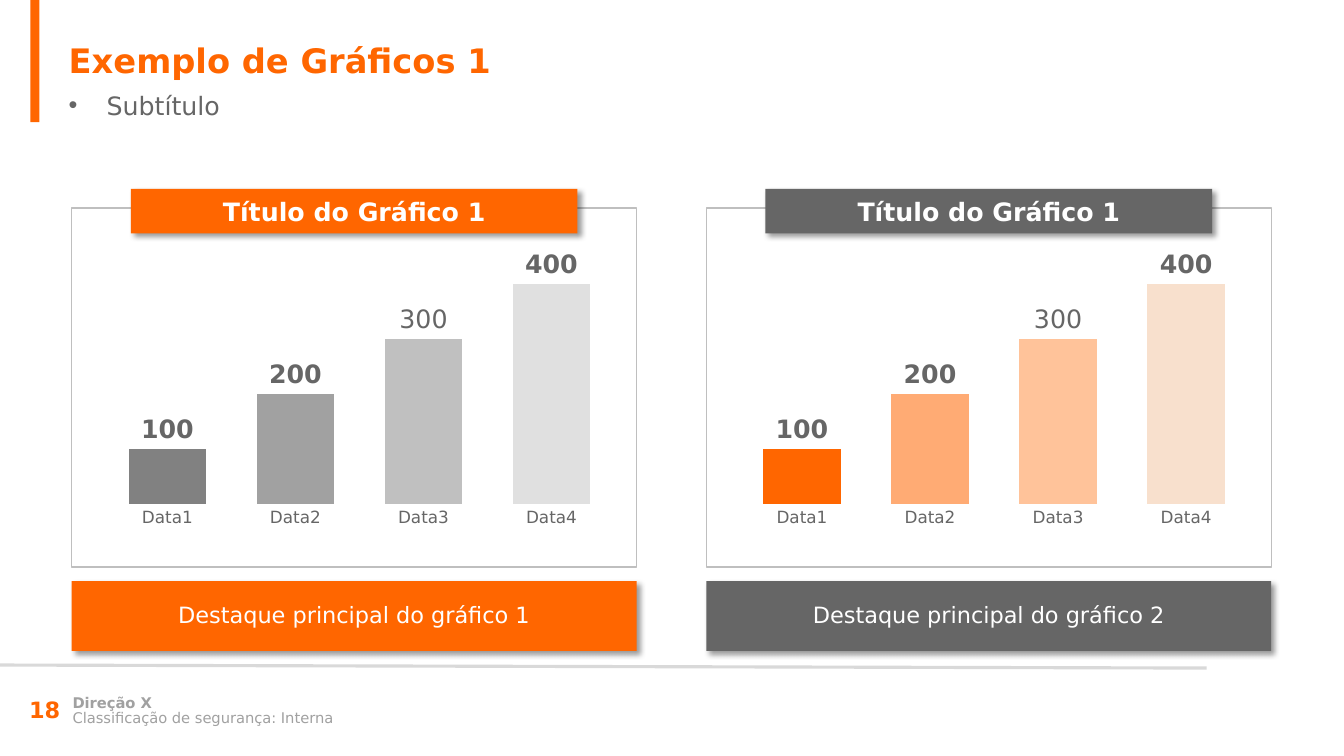
from dataclasses import dataclass

from lxml import etree
from pptx import Presentation
from pptx.chart.data import CategoryChartData
from pptx.dml.color import RGBColor
from pptx.enum.chart import XL_CHART_TYPE as ChartType
from pptx.enum.chart import XL_LABEL_POSITION as LabelPos
from pptx.enum.chart import XL_TICK_MARK as Tick
from pptx.enum.shapes import MSO_CONNECTOR as Connector
from pptx.enum.shapes import MSO_SHAPE as Shape
from pptx.enum.text import MSO_ANCHOR as Anchor
from pptx.enum.text import MSO_AUTO_SIZE as AutoSize
from pptx.enum.text import PP_ALIGN as Align
from pptx.oxml import parse_xml
from pptx.oxml.ns import nsdecls, qn
from pptx.util import Inches, Pt

FONT = "DejaVu Sans"
ORANGE, GRAY, WHITE = "FF6600", "666666", "FFFFFF"
PALE, FRAME, RULE = "A1A1A1", "BFBFBF", "D9D9D9"

# Two equal columns; the parts of each are centred on its frame
FIRST_COLUMN, COLUMN_PITCH, COLUMN_WIDTH = 0.71, 6.28, 5.59
HEADER_WIDTH, CHART_WIDTH = 4.42, 5.28
CATEGORIES = ("Data1", "Data2", "Data3", "Data4")
VALUES = (100, 200, 300, 400)
PLAIN_LABEL = 2


@dataclass(frozen=True)
class Box:
    left: float
    top: float
    width: float
    height: float

    def lengths(self) -> list:
        return [Inches(n) for n in (self.left, self.top, self.width, self.height)]


@dataclass(frozen=True)
class Style:
    size: float
    color: str
    bold: bool = False
    align: Align = Align.LEFT
    anchor: Anchor = Anchor.MIDDLE
    spacing: float = 1.0


@dataclass(frozen=True)
class Panel:
    header: str
    highlight: str
    color: str
    bars: tuple[str, ...]


PANELS = (
    Panel("Título do Gráfico 1", "Destaque principal do gráfico 1", ORANGE,
          ("818181", "A1A1A1", "C0C0C0", "E0E0E0")),
    Panel("Título do Gráfico 1", "Destaque principal do gráfico 2", GRAY,
          ("FF6600", "FFAB74", "FFC39A", "F8E0CD")),
)
HEADER = Style(18, WHITE, bold=True, align=Align.CENTER)
HIGHLIGHT = Style(16, WHITE, align=Align.CENTER, spacing=0.9)


def rgb(code: str) -> RGBColor:
    return RGBColor.from_string(code)


def set_font(font, size: float, color: str, bold: bool = False) -> None:
    font.name, font.size, font.bold = FONT, Pt(size), bold
    font.color.rgb = rgb(color)


def write(holder, text: str, style: Style) -> None:
    frame = holder.text_frame
    frame.text = text
    frame.word_wrap = True
    frame.auto_size = AutoSize.NONE
    frame.vertical_anchor = style.anchor
    line = frame.paragraphs[0]
    line.alignment = style.align
    line.line_spacing = style.spacing
    line.space_before = Pt(0)
    set_font(line.runs[0].font, style.size, style.color, style.bold)


def fill_placeholder(holder, box: Box, text: str, style: Style) -> None:
    holder.left, holder.top, holder.width, holder.height = box.lengths()
    write(holder, text, style)


def add_text(slide, box: Box, text: str, style: Style) -> None:
    write(slide.shapes.add_textbox(*box.lengths()), text, style)


def add_block(slide, box: Box, fill: str | None = None, line: str | None = None):
    block = slide.shapes.add_shape(Shape.RECTANGLE, *box.lengths())
    block.shadow.inherit = False
    if fill:
        block.fill.solid()
        block.fill.fore_color.rgb = rgb(fill)
    else:
        block.fill.background()
    if line:
        block.line.color.rgb = rgb(line)
        block.line.width = Pt(1)
    else:
        block.line.fill.background()
    return block


def add_banner(slide, box: Box, text: str, fill: str, style: Style) -> None:
    banner = add_block(slide, box, fill)
    effects = banner._element.spPr.find(qn("a:effectLst"))
    effects.append(parse_xml(
        f'<a:outerShdw {nsdecls("a")} blurRad="{Pt(4)}" dist="{Pt(3)}" dir="2700000"'
        ' algn="tl" rotWithShape="0"><a:srgbClr val="000000"><a:alpha val="40000"/>'
        '</a:srgbClr></a:outerShdw>'))
    write(banner, text, style)


def place_plot(chart) -> None:
    """Fix the inner plot area as shares of the chart's size."""
    plot_area = chart._chartSpace.chart.plotArea
    for old in plot_area.findall(qn("c:layout")):
        plot_area.remove(old)
    shares = {"x": 0.03, "y": 0.03, "w": 0.96, "h": 0.81}
    numbers = "".join(f'<c:{key} val="{share}"/>' for key, share in shares.items())
    plot_area.insert(0, parse_xml(
        f'<c:layout {nsdecls("c")}><c:manualLayout><c:layoutTarget val="inner"/>'
        f'<c:xMode val="edge"/><c:yMode val="edge"/>{numbers}'
        '</c:manualLayout></c:layout>'))


def add_columns(slide, box: Box, bars: tuple[str, ...]) -> None:
    data = CategoryChartData()
    data.categories = CATEGORIES
    data.add_series("Series 1", VALUES)
    chart = slide.shapes.add_chart(
        ChartType.COLUMN_CLUSTERED, *box.lengths(), data).chart
    chart.has_legend = chart.has_title = False
    set_font(chart.font, 12, GRAY)
    place_plot(chart)

    # Axes
    chart.value_axis.minimum_scale, chart.value_axis.maximum_scale = 0, 450
    chart.value_axis.has_major_gridlines = False
    chart.value_axis.visible = False
    chart.category_axis.major_tick_mark = Tick.NONE
    chart.category_axis.format.line.fill.background()
    set_font(chart.category_axis.tick_labels.font, 12, GRAY)

    # Columns and their values
    plot = chart.plots[0]
    plot.gap_width, plot.overlap, plot.vary_by_categories = 65, 94, False
    series = plot.series[0]
    for index, color in enumerate(bars):
        fill = series.points[index].format.fill
        fill.solid()
        fill.fore_color.rgb = rgb(color)
    labels = series.data_labels
    labels.show_value = True
    labels.position = LabelPos.OUTSIDE_END
    set_font(labels.font, 18, GRAY, bold=True)
    plain = series.points[PLAIN_LABEL].data_label
    set_font(plain.font, 18, GRAY)
    plain.position = LabelPos.OUTSIDE_END


def add_panel(slide, left: float, panel: Panel) -> None:
    def centred(top: float, width: float, height: float) -> Box:
        return Box(left + (COLUMN_WIDTH - width) / 2, top, width, height)

    add_block(slide, centred(2.06, COLUMN_WIDTH, 3.55), line=FRAME)
    add_banner(slide, centred(1.87, HEADER_WIDTH, 0.44),
               panel.header, panel.color, HEADER)
    add_banner(slide, centred(5.75, COLUMN_WIDTH, 0.69),
               panel.highlight, panel.color, HIGHLIGHT)
    add_columns(slide, centred(2.45, CHART_WIDTH, 3.02), panel.bars)


def main() -> None:
    deck = Presentation()
    deck.slide_width, deck.slide_height = Inches(13.3), Inches(7.48)
    slide = deck.slides.add_slide(deck.slide_layouts[1])

    # Title and subtitle
    add_block(slide, Box(0.3, 0, 0.09, 1.21), ORANGE)
    title, subtitle = slide.placeholders
    fill_placeholder(title, Box(0.58, 0.34, 12.42, 0.5), "Exemplo de Gráficos 1",
                     Style(24, ORANGE, bold=True, anchor=Anchor.TOP))
    properties = subtitle.text_frame.paragraphs[0]._p.get_or_add_pPr()
    properties.set("marL", "0")
    properties.set("indent", "0")
    etree.SubElement(properties, qn("a:buNone"))
    fill_placeholder(subtitle, Box(0.58, 0.84, 12.42, 0.4), "Subtítulo",
                     Style(18, GRAY, anchor=Anchor.TOP))

    # Chart panels
    for column, panel in enumerate(PANELS):
        add_panel(slide, FIRST_COLUMN + column * COLUMN_PITCH, panel)

    # Footer
    rule = slide.shapes.add_connector(
        Connector.STRAIGHT, 0, Inches(6.58), Inches(11.94), Inches(6.61))
    rule.line.color.rgb = rgb(RULE)
    rule.line.width = Pt(2.25)
    etree.SubElement(rule._element.spPr, qn("a:effectLst"))
    add_text(slide, Box(0.19, 6.82, 0.69, 0.4), "18", Style(16, ORANGE, bold=True))
    add_text(slide, Box(0.62, 6.84, 7.53, 0.25), "Direção X",
             Style(10.5, PALE, bold=True, spacing=0.85))
    add_text(slide, Box(0.62, 6.99, 7.53, 0.25), "Classificação de segurança: Interna",
             Style(10.5, PALE, spacing=0.85))
    deck.save("out.pptx")


if __name__ == "__main__":
    main()
